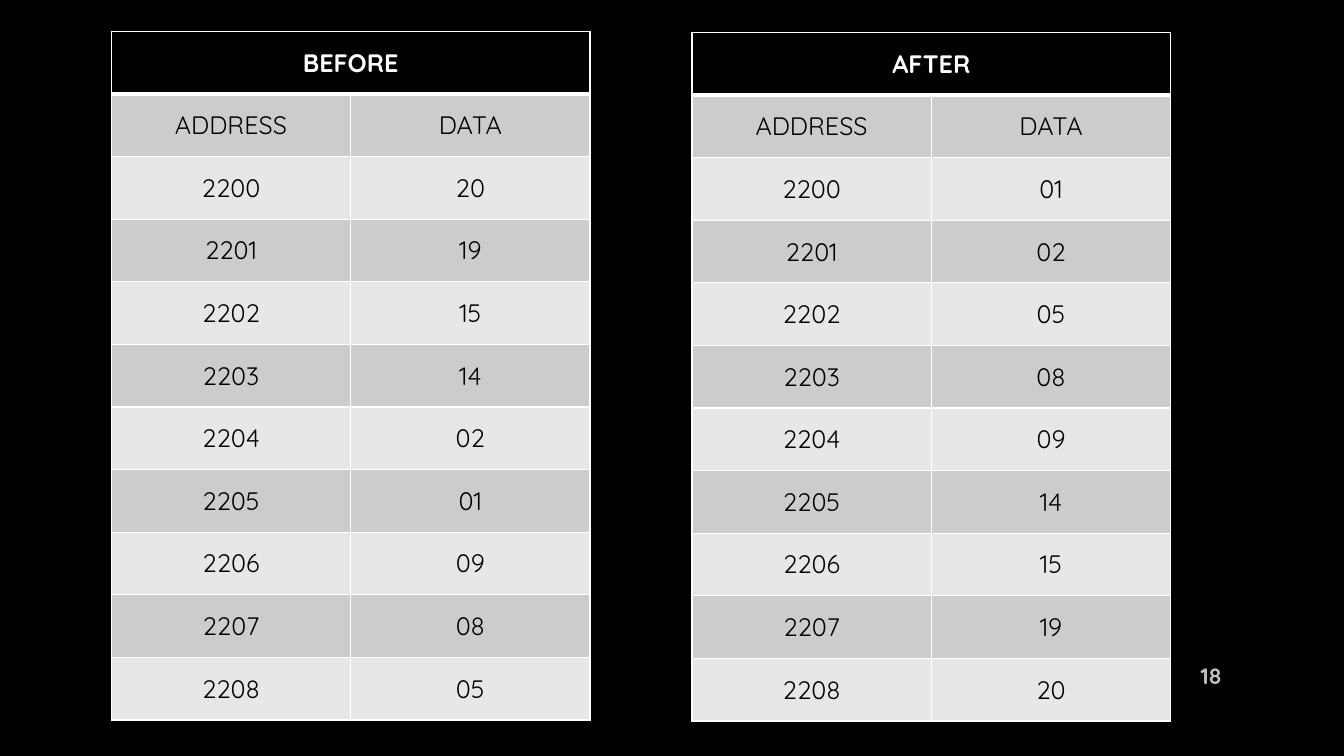
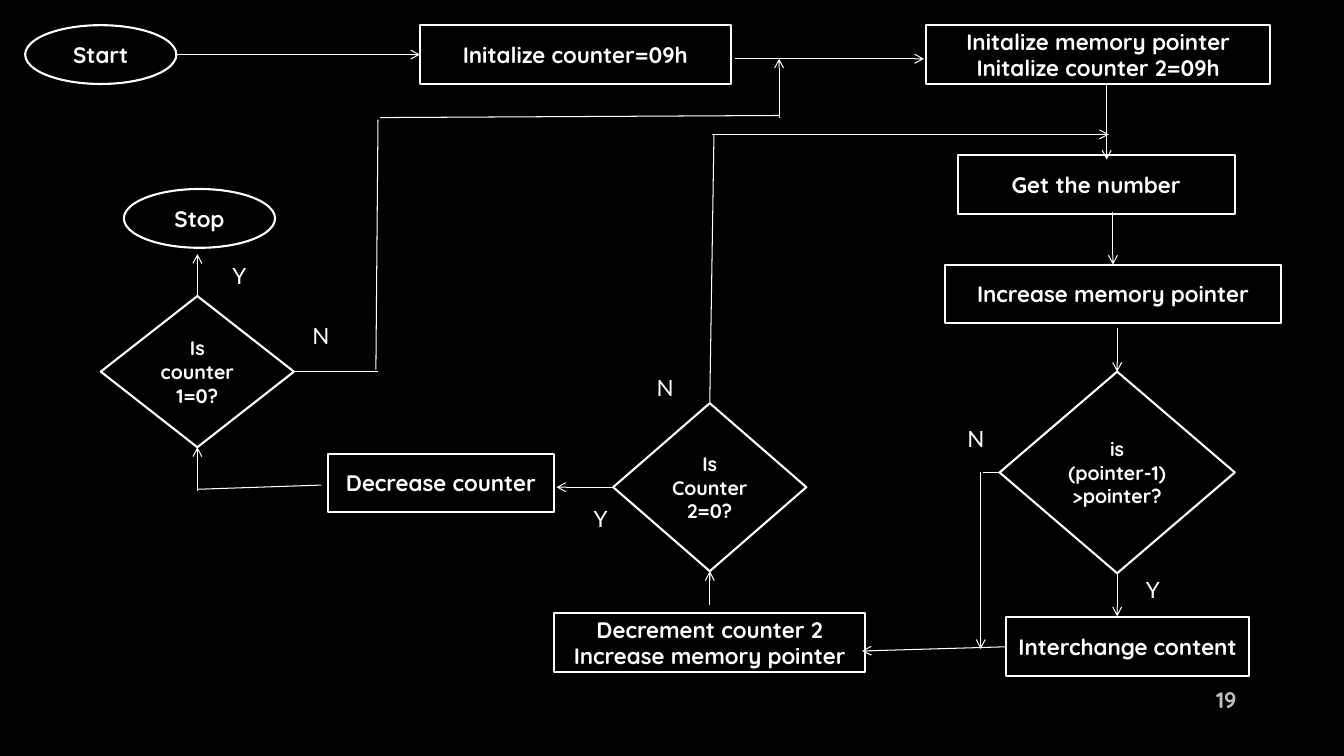
from lxml.etree import SubElement
from pptx import Presentation
from pptx.dml.color import RGBColor
from pptx.enum.shapes import MSO_CONNECTOR, MSO_SHAPE as Preset
from pptx.enum.text import MSO_ANCHOR as Anchor, MSO_AUTO_SIZE as AutoSize, PP_ALIGN as Align
from pptx.oxml.ns import qn
from pptx.util import Emu, Pt

BLACK, WHITE, GRAY = "000000", "FFFFFF", "BFBFBF"
BANDS = "CCCCCC", "E7E7E7"
TOP, LEFT, BOTTOM, RIGHT = range(4)


def px(length):
    return Emu(length * 9525)


def color(code):
    return RGBColor.from_string(code)


class Deck:
    """Builds black slides with white outlined elements."""

    heading_font, label_font = "Quicksand", "Lato"

    def __init__(self):
        self.presentation = Presentation()
        self.presentation.slide_width = px(1280)
        self.presentation.slide_height = px(720)
        background = self.presentation.slide_master.background.fill
        background.solid()
        background.fore_color.rgb = color(BLACK)

    def new_slide(self):
        layout = self.presentation.slide_layouts[6]
        self.slide = self.presentation.slides.add_slide(layout)

    def set_text(self, frame, text, size=16, code=WHITE, bold=True, align=Align.CENTER, font=heading_font):
        frame.text = text
        for paragraph in frame.paragraphs:
            paragraph.alignment = align
            paragraph.font.name = font
            paragraph.font.size = Pt(size)
            paragraph.font.bold = bold
            paragraph.font.color.rgb = color(code)

    def node(self, preset, text, left, top, width, height=56, size=16):
        shape = self.slide.shapes.add_shape(preset, px(left), px(top), px(width), px(height))
        shape.shadow.inherit = False
        shape.fill.solid()
        shape.fill.fore_color.rgb = color(BLACK)
        shape.line.color.rgb = color(WHITE)
        shape.line.width = Pt(1.5)
        shape.text_frame.vertical_anchor = Anchor.MIDDLE
        self.set_text(shape.text_frame, text, size)
        return shape

    def line(self, start, end, arrow=True, begin=None, finish=None):
        connector = self.slide.shapes.add_connector(
            MSO_CONNECTOR.STRAIGHT, *map(px, start), *map(px, end))
        if begin:
            connector.begin_connect(*begin)
        if finish:
            connector.end_connect(*finish)
        connector.line.color.rgb = color(WHITE)
        connector.line.width = Pt(0.75)
        if arrow:
            SubElement(connector.line._get_or_add_ln(), qn("a:tailEnd"), type="arrow")
        SubElement(connector._element.spPr, qn("a:effectLst"))

    def label(self, text, left, top):
        box = self.slide.shapes.add_textbox(px(left), px(top), px(35), px(35))
        box.text_frame.word_wrap = False
        box.text_frame.auto_size = AutoSize.SHAPE_TO_FIT_TEXT
        self.set_text(box.text_frame, text, bold=False, align=Align.LEFT, font=self.label_font)

    def page_number(self, number, left, top):
        box = self.slide.shapes.add_textbox(px(left), px(top), px(58), px(38))
        box.text_frame.word_wrap = True
        box.text_frame.vertical_anchor = Anchor.MIDDLE
        self.set_text(box.text_frame, str(number), code=GRAY, align=Align.RIGHT)

    def cell(self, cell, text, fill, code=BLACK, bold=False, top=1, bottom=1):
        properties = cell._tc.get_or_add_tcPr()
        for side, width in (("L", 1), ("R", 1), ("T", top), ("B", bottom)):
            border = SubElement(properties, qn(f"a:ln{side}"), w=str(Pt(width)))
            SubElement(SubElement(border, qn("a:solidFill")), qn("a:srgbClr"), val=WHITE)
        cell.fill.solid()
        cell.fill.fore_color.rgb = color(fill)
        cell.vertical_anchor = Anchor.MIDDLE
        self.set_text(cell.text_frame, text, 18, code, bold)

    def memory_table(self, title, data, left, top):
        rows = [("ADDRESS", "DATA")]
        rows += [(str(address), value) for address, value in enumerate(data, 2200)]
        count = len(rows) + 1
        table = self.slide.shapes.add_table(count, 2, px(left), px(top), px(456), px(656)).table
        table.first_row = table.horz_banding = False
        for row in table.rows:
            row.height = px(656) // count
        table.cell(0, 0).merge(table.cell(0, 1))
        for column, text in enumerate((title, "")):
            self.cell(table.cell(0, column), text, BLACK, WHITE, True, bottom=3)
        for index, values in enumerate(rows):
            for column, text in enumerate(values):
                self.cell(table.cell(index + 1, column), text, BANDS[index % 2], top=1 if index else 3)


def sorting_result(deck):
    deck.new_slide()
    before = "20 19 15 14 02 01 09 08 05".split()
    deck.memory_table("BEFORE", before, 106, 30)
    deck.memory_table("AFTER", sorted(before), 659, 31)
    deck.page_number(18, 1115, 624)


def flowchart(deck):
    deck.new_slide()
    node, line = deck.node, deck.line
    node(Preset.OVAL, "Start", 24, 24, 144)
    set_counter = node(Preset.RECTANGLE, "Initalize counter=09h", 400, 24, 296)
    node(Preset.RECTANGLE, "Initalize memory pointer\nInitalize counter 2=09h", 882, 24, 328)
    node(Preset.RECTANGLE, "Decrease counter", 312, 432, 216)
    increase = node(Preset.RECTANGLE, "Increase memory pointer", 900, 252, 320)
    outer_test = node(Preset.DIAMOND, "Is counter 1=0?", 96, 282, 184, 144, 14)
    interchange = node(Preset.RECTANGLE, "Interchange content", 958, 588, 232)
    node(Preset.RECTANGLE, "Get the number", 912, 148, 264)
    inner_test = node(Preset.DIAMOND, "Is\nCounter 2=0?", 584, 384, 184, 160, 14)
    compare = node(Preset.DIAMOND, "is\n(pointer-1)>pointer?", 952, 354, 224, 192, 14)
    node(Preset.RECTANGLE, "Decrement counter 2\nIncrease memory pointer", 528, 584, 296)
    node(Preset.OVAL, "Stop", 118, 180, 144)

    line((168, 52), (400, 52), finish=(set_counter, LEFT))
    line((700, 56), (880, 56))
    line((1054, 80), (1054, 152))
    line((1060, 202), (1060, 252), finish=(increase, TOP))
    line((1064, 312), (1064, 354), finish=(compare, TOP))
    line((1064, 546), (1064, 587), begin=(compare, BOTTOM))
    line((958, 616), (821, 620), begin=(interchange, LEFT))
    line((952, 450), (936, 450), arrow=False, begin=(compare, LEFT))
    line((934, 450), (934, 618))
    line((676, 576), (676, 544), finish=(inner_test, BOTTOM))
    line((584, 464), (530, 464), begin=(inner_test, LEFT))
    line((676, 384), (680, 128), arrow=False, begin=(inner_test, TOP))
    line((678, 128), (1056, 128))
    line((306, 462), (188, 466), arrow=False)
    line((188, 468), (188, 426), finish=(outer_test, BOTTOM))
    line((188, 282), (188, 242), begin=(outer_test, TOP))
    line((280, 354), (360, 354), arrow=False, begin=(outer_test, RIGHT))
    line((358, 352), (360, 114), arrow=False)
    line((362, 112), (742, 110), arrow=False)
    line((742, 112), (742, 56))

    for left, top in ((912, 400), (616, 352), (288, 302)):
        deck.label("N", left, top)
    for left, top in ((1082, 544), (556, 476), (212, 245)):
        deck.label("Y", left, top)
    deck.page_number(19, 1129, 647)


def main():
    deck = Deck()
    sorting_result(deck)
    flowchart(deck)
    deck.presentation.save("out.pptx")


if __name__ == "__main__":
    main()
